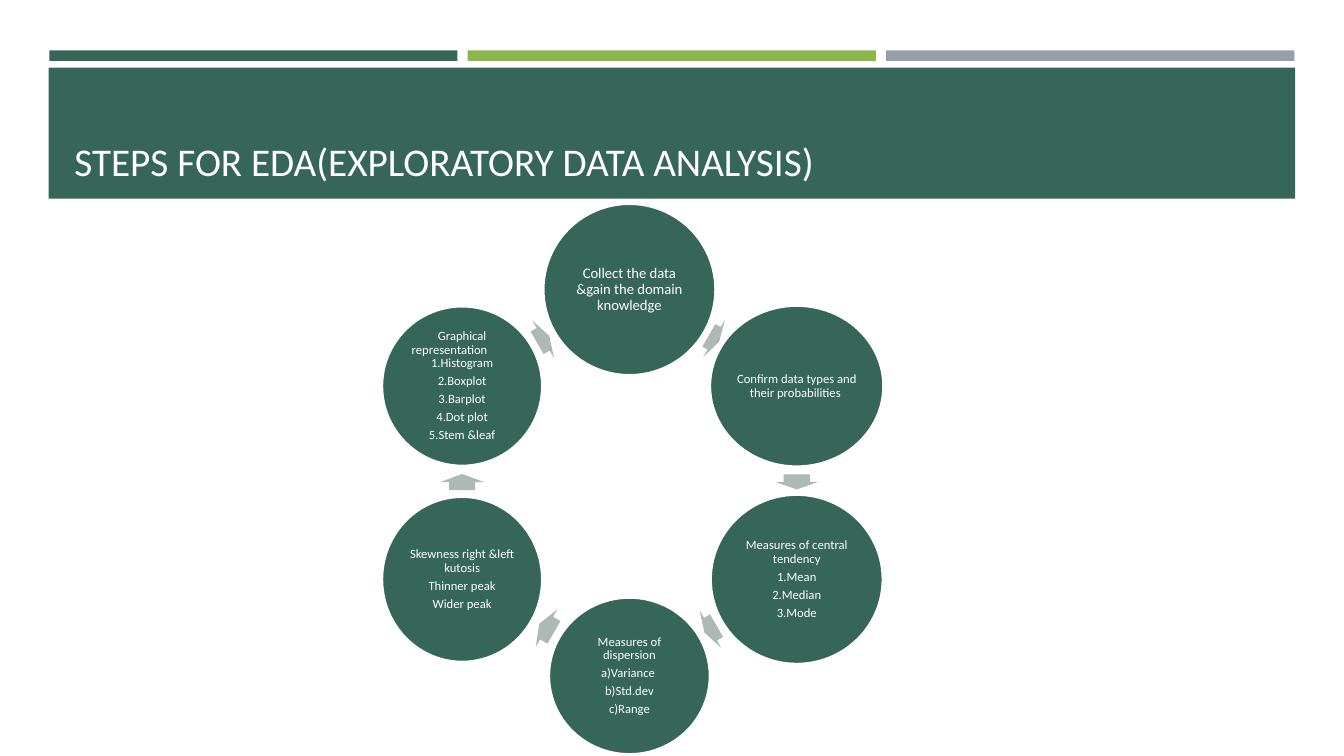
import math

import pptx
import pptx.dml.color
import pptx.enum.shapes
import pptx.enum.text
import pptx.util

Pt = pptx.util.Pt
Shapes = pptx.enum.shapes.MSO_SHAPE
Anchor = pptx.enum.text.MSO_ANCHOR
Align = pptx.enum.text.PP_ALIGN

GREEN, LIME, GREY, ARROW, WHITE = "366658", "8CB64A", "969FA7", "AEB8B5", "FFFFFF"


def color(hex_string):
    return pptx.dml.color.RGBColor.from_string(hex_string)


def set_values(target, values):
    for name, value in values.items():
        setattr(target, name, value)


class SlideBuilder:
    font = "Calibri"
    node_paragraph = {"alignment": Align.CENTER, "line_spacing": 0.9}

    def __init__(self, slide):
        self.slide = slide

    def shape(self, kind, left, top, width, height, fill, line=None):
        shape = self.slide.shapes.add_shape(
            kind, Pt(left), Pt(top), Pt(width), Pt(height))
        shape.shadow.inherit = False
        shape.fill.solid()
        shape.fill.fore_color.rgb = color(fill)
        if line:
            shape.line.color.rgb = color(line)
            shape.line.width = Pt(1.75)
        else:
            shape.line.fill.background()
        return shape

    def add_text(self, shape, lines, size, anchor, inset, paragraph_format):
        frame = shape.text_frame
        set_values(frame, {"word_wrap": True, "vertical_anchor": anchor,
                           "margin_left": Pt(inset[0]), "margin_right": Pt(inset[0]),
                           "margin_top": Pt(inset[1]), "margin_bottom": Pt(inset[1])})
        for index, line in enumerate(lines):
            paragraph = frame.add_paragraph() if index else frame.paragraphs[0]
            set_values(paragraph, paragraph_format)
            run = paragraph.add_run()
            run.text = line
            set_values(run.font, {"name": self.font, "size": Pt(size)})
            run.font.color.rgb = color(WHITE)

    def title(self, text, left, top, width, height):
        box = self.slide.shapes.add_textbox(Pt(left), Pt(top), Pt(width), Pt(height))
        self.add_text(box, [text], 28, Anchor.BOTTOM, (7.2, 3.6), {"line_spacing": 0.9})

    def node(self, center_x, center_y, width, height, lines, size):
        ellipse = self.shape(Shapes.OVAL, center_x - width / 2, center_y - height / 2,
                             width, height, GREEN, WHITE)
        self.add_text(ellipse, lines, size, Anchor.MIDDLE, (1, 1),
                      {**self.node_paragraph, "space_after": Pt(size * 0.35)})

    def arrow(self, center_x, center_y, length, breadth, rotation):
        arrow = self.shape(Shapes.RIGHT_ARROW, center_x - length / 2,
                           center_y - breadth / 2, length, breadth, ARROW)
        arrow.adjustments[0], arrow.adjustments[1] = 0.6, 0.5
        arrow.rotation = rotation


presentation = pptx.Presentation()
presentation.slide_width, presentation.slide_height = Pt(960), Pt(540)
builder = SlideBuilder(presentation.slides.add_slide(presentation.slide_layouts[6]))

# Three header bars and the title band
for column, fill in enumerate((GREEN, LIME, GREY)):
    builder.shape(Shapes.RECTANGLE, 35.2 + 298.9 * column, 36, 291.6, 7.5, fill)
builder.shape(Shapes.RECTANGLE, 34.8, 48.4, 890.4, 93.6, GREEN)
builder.title("STEPS FOR EDA(EXPLORATORY DATA ANALYSIS)", 46, 55.4, 868, 80)

# Cycle steps: width, height, text size, length of the following arrow, lines
steps = [
    (123, 122.5, 10.5, 8.6, ["Collect the data &gain the domain knowledge"]),
    (124, 115, 9, 10.8, ["Confirm data types and their probabilities "]),
    (123, 121, 9, 10, ["Measures of central tendency", "1.Mean", "2.Median", "3.Mode"]),
    (115, 112, 9, 12.2, ["Measures of dispersion", "a)Variance ", "b)Std.dev", "c)Range"]),
    (114.5, 118, 9, 11.5, ["Skewness right &left kutosis", "Thinner peak", "Wider peak"]),
    (114.5, 114, 9, 10, ["Graphical representation\t1.Histogram", "2.Boxplot",
                         "3.Barplot", "4.Dot plot", "5.Stem &leaf"]),
]
ring_x, ring_y, ring_radius = 449.6, 344.8, 138
turn = 360 / len(steps)


def ring_point(index):
    angle = math.radians(turn * index - 90)
    return (ring_x + ring_radius * math.cos(angle),
            ring_y + ring_radius * math.sin(angle))


for index, (width, height, size, arrow_length, lines) in enumerate(steps):
    x, y = ring_point(index)
    builder.node(x, y, width, height, lines, size)

    # The arrow sits midway in the gap before the next circle
    next_x, next_y = ring_point(index + 1)
    next_width, next_height = steps[(index + 1) % len(steps)][:2]
    shift = (width + height - next_width - next_height) / 8
    rotation = turn * (index + 0.5)
    heading = math.radians(rotation)
    builder.arrow((x + next_x) / 2 + shift * math.cos(heading),
                  (y + next_y) / 2 + shift * math.sin(heading),
                  arrow_length, 31, rotation)

presentation.save("out.pptx")
